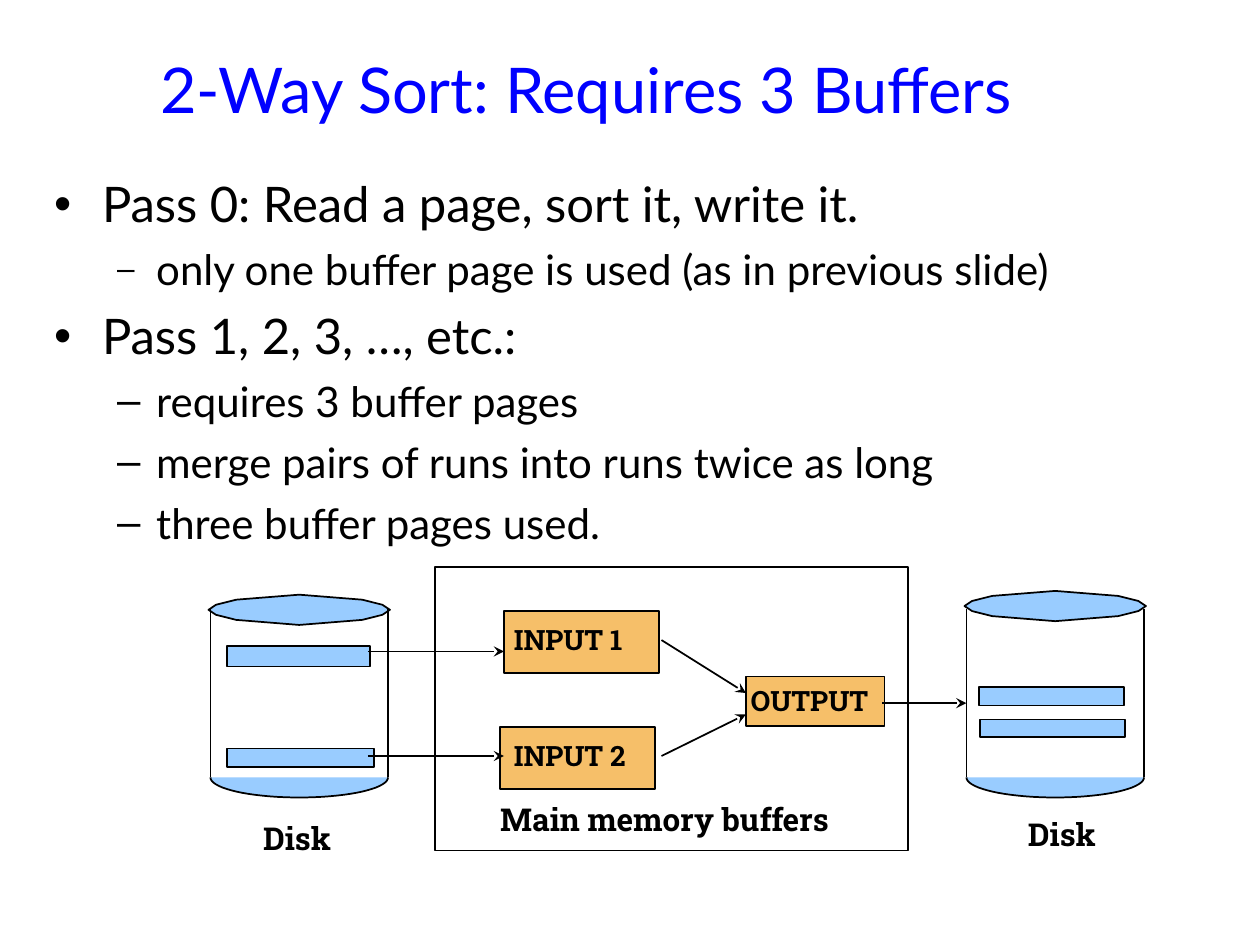
import math

import pptx
import pptx.dml.color
import pptx.enum.shapes
import pptx.enum.text
import pptx.oxml
import pptx.oxml.ns
import pptx.util

Inches = pptx.util.Inches
Pt = pptx.util.Pt
COLORS = {"title": "0000FF", "ink": "000000", "disk": "99CCFF", "buffer": "F6BF69"}


def color(name):
    return pptx.dml.color.RGBColor.from_string(COLORS[name])


def add_xml(parent, tag, **attributes):
    element = pptx.oxml.parse_xml(f"<a:{tag} {pptx.oxml.ns.nsdecls('a')}/>")
    for key, value in attributes.items():
        element.set(key, str(value))
    parent.append(element)
    return element


class Sketch:
    body_font = "Lato"
    label_font = "Roboto Slab"
    line_width = Pt(1)

    def __init__(self, slide):
        self.slide = slide

    def run(self, paragraph, text, size, font, ink="ink", bold=False):
        run = paragraph.add_run()
        run.text = text
        run.font.size = Pt(size)
        run.font.name = font
        run.font.bold = bold
        run.font.color.rgb = color(ink)

    def place(self, shape, left, top, width, height):
        shape.left, shape.top = Inches(left), Inches(top)
        shape.width, shape.height = Inches(width), Inches(height)

    def title(self, text, *box):
        shape = self.slide.shapes.title
        self.place(shape, *box)
        shape.text_frame.auto_size = pptx.enum.text.MSO_AUTO_SIZE.NONE
        shape.text_frame.vertical_anchor = pptx.enum.text.MSO_ANCHOR.MIDDLE
        paragraph = shape.text_frame.paragraphs[0]
        paragraph.alignment = pptx.enum.text.PP_ALIGN.LEFT
        self.run(paragraph, text, 36, self.body_font, "title")

    def bullets(self, items, *box):
        shape = self.slide.placeholders[1]
        self.place(shape, *box)
        frame = shape.text_frame
        frame.auto_size = pptx.enum.text.MSO_AUTO_SIZE.NONE
        levels = [("•", 28, 7, 0.38, -0.38), ("–", 24, 6, 0.81, -0.31)]
        for index, (level, text, bullet_size) in enumerate(items):
            mark, size, before, margin, indent = levels[level]
            paragraph = frame.add_paragraph() if index else frame.paragraphs[0]
            paragraph.level = level
            paragraph.space_before = Pt(before)
            properties = paragraph._p.get_or_add_pPr()
            properties.set("marL", str(Inches(margin)))
            properties.set("indent", str(Inches(indent)))
            add_xml(add_xml(properties, "buClr"), "srgbClr", val=COLORS["ink"])
            add_xml(properties, "buSzPct", val=bullet_size * 1000)
            add_xml(properties, "buChar", char=mark)
            self.run(paragraph, text, size, self.body_font)

    def style(self, shape, fill):
        shape.shadow.inherit = False
        if fill:
            shape.fill.solid()
            shape.fill.fore_color.rgb = color(fill)
        else:
            shape.fill.background()
        shape.line.color.rgb = color("ink")
        shape.line.width = self.line_width

    def box(self, left, top, width, height, fill=None):
        kind = pptx.enum.shapes.MSO_SHAPE.RECTANGLE
        shape = self.slide.shapes.add_shape(
            kind, Inches(left), Inches(top), Inches(width), Inches(height))
        self.style(shape, fill)

    def outline(self, points, fill, close):
        points = [(Inches(x), Inches(y)) for x, y in points]
        builder = self.slide.shapes.build_freeform(*points[0])
        builder.add_line_segments(points[1:], close=close)
        self.style(builder.convert_to_shape(), fill)

    def line(self, start, end, arrow=False):
        connector = self.slide.shapes.add_connector(
            pptx.enum.shapes.MSO_CONNECTOR.STRAIGHT,
            *(Inches(value) for value in (*start, *end)))
        connector.line.color.rgb = color("ink")
        connector.line.width = self.line_width
        if arrow:
            add_xml(connector.line._get_or_add_ln(), "tailEnd", type="stealth")
        add_xml(connector._element.spPr, "effectLst")

    def label(self, text, size, left, top, width, height, wrap=False):
        shape = self.slide.shapes.add_textbox(
            Inches(left), Inches(top), Inches(width), Inches(height))
        shape.text_frame.word_wrap = wrap
        shape.text_frame.auto_size = pptx.enum.text.MSO_AUTO_SIZE.SHAPE_TO_FIT_TEXT
        self.run(shape.text_frame.paragraphs[0], text, size, self.label_font, bold=True)

    def disk(self, left, lid_y, label_left, label_top, pages):
        width, side_top, side_bottom, depth = 1.41, 4.83, 6.17, 0.16
        center = left + width / 2
        # Lid: one quarter mirrored into a twelve-sided outline
        quarter = [(0.72, 0), (0.66, 0.04), (0.5, 0.08), (0, 0.12)]
        upper = [(x, -y) for x, y in quarter] + [(-x, -y) for x, y in quarter[-2::-1]]
        lower = [(-x, -y) for x, y in upper[1:-1]]
        self.outline([(center + x, lid_y + y) for x, y in upper + lower], "disk", True)
        # Sides and rounded bottom
        for x in (left, left + width):
            self.line((x, side_top), (x, side_bottom))
        angles = [math.pi * step / 36 for step in range(37)]
        self.outline([(center - width / 2 * math.cos(angle),
                       side_bottom + depth * math.sin(angle)) for angle in angles],
                     "disk", False)
        # Stored pages and caption
        for page in pages:
            self.box(*page, "disk")
        self.label("Disk", 18, label_left, label_top, 0.78, 0.4)


presentation = pptx.Presentation()
presentation.slide_width, presentation.slide_height = Inches(10), Inches(7.5)
slide = presentation.slides.add_slide(presentation.slide_layouts[1])
sketch = Sketch(slide)

# Title and list
sketch.title("2-Way Sort: Requires 3 Buffers", 1.17, 0.08, 8.5, 1.25)
sketch.bullets([
    (0, "Pass 0: Read a page, sort it, write it.", 100),
    (1, "only one buffer page is used (as in previous slide)", 75),
    (0, "Pass 1, 2, 3, …, etc.:", 100),
    (1, "requires 3 buffer pages", 100),
    (1, "merge pairs of runs into runs twice as long", 100),
    (1, "three buffer pages used.", 100),
], 0.33, 1.33, 9.58, 5.17)

# Main memory with its three buffers
sketch.box(3.45, 4.5, 3.76, 2.25)
sketch.label("Main memory buffers", 18, 3.87, 6.3, 2.99, 0.4, wrap=True)
for text, buffer_box, label_box in [
    ("INPUT 1", (4, 4.85, 1.23, 0.49), (3.98, 4.89, 1.14, 0.36)),
    ("INPUT 2", (3.97, 5.77, 1.23, 0.49), (3.98, 5.81, 1.14, 0.36)),
    ("OUTPUT", (5.92, 5.37, 1.1, 0.39), (5.86, 5.38, 1.16, 0.36)),
]:
    sketch.box(*buffer_box, "buffer")
    sketch.label(text, 16, *label_box)

# Source and target disks
sketch.disk(1.67, 4.84, 1.99, 6.45, [(1.8, 5.13, 1.14, 0.16), (1.8, 5.94, 1.17, 0.15)])
sketch.disk(7.67, 4.81, 8.06, 6.42, [(7.77, 5.45, 1.15, 0.15), (7.78, 5.71, 1.15, 0.14)])

# Data flow
for start, end in [
    ((2.92, 5.17), (4, 5.17)),
    ((2.92, 6), (4, 6)),
    ((5.25, 5.08), (5.92, 5.5)),
    ((5.25, 6), (5.92, 5.67)),
    ((7, 5.58), (7.67, 5.58)),
]:
    sketch.line(start, end, arrow=True)

presentation.save("out.pptx")
